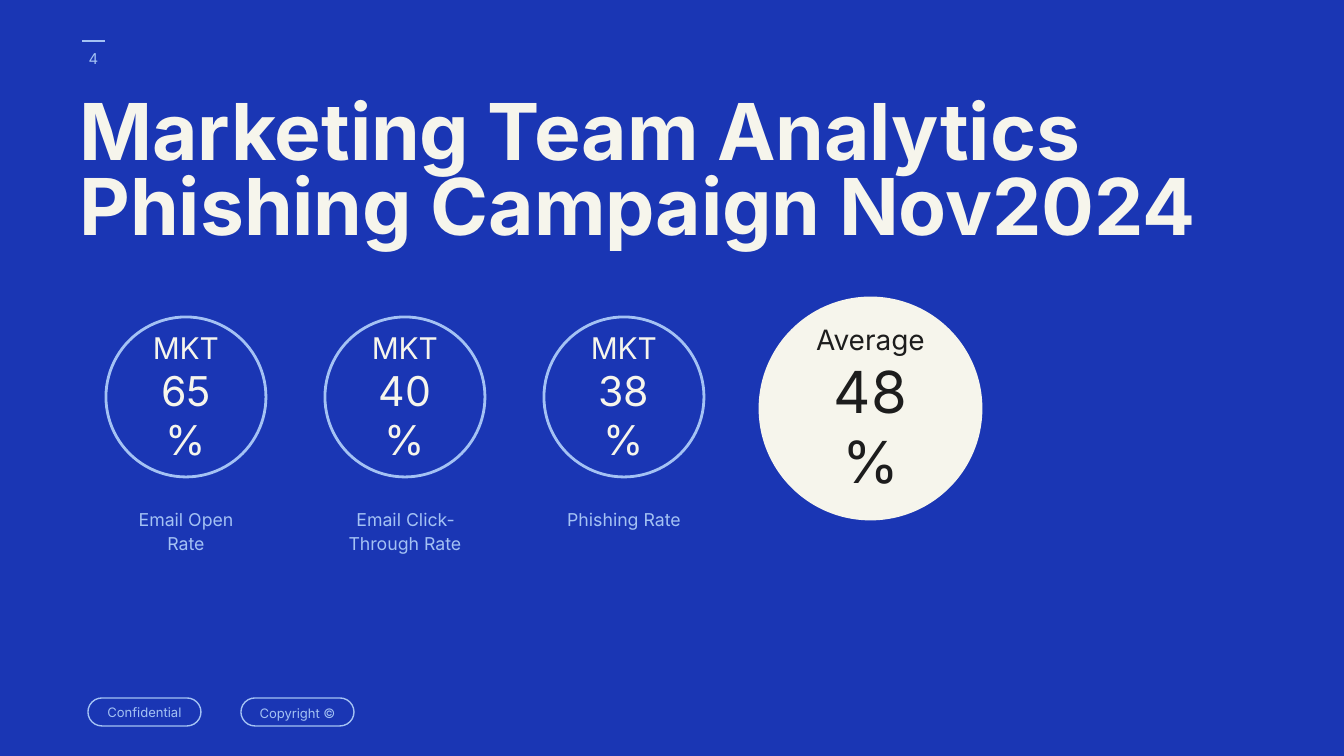
"""Build the marketing team phishing campaign analytics slide."""
from lxml import etree
from pptx import Presentation, util as u
from pptx.dml.color import RGBColor
from pptx.enum import shapes, text
from pptx.oxml.ns import qn

PX = 9144000 / 1344
COLORS = {"blue": "1A36B4", "sky": "A4C2F4", "cream": "F6F5EC", "ink": "1D1D1D"}


def rgb(name):
    return RGBColor.from_string(COLORS[name])


def write(box, lines, sizes, color, anchor=text.MSO_ANCHOR.MIDDLE,
          align=text.PP_ALIGN.CENTER, spacing=1.0, bold=False):
    frame = box.text_frame
    frame.word_wrap = True
    frame.auto_size = text.MSO_AUTO_SIZE.NONE
    frame.vertical_anchor = anchor
    frame.margin_left = frame.margin_right = u.Inches(0.1)
    frame.margin_top = frame.margin_bottom = u.Inches(0.1)
    frame.text = "\n".join(lines)
    for para, size in zip(frame.paragraphs, sizes):
        para.alignment = align
        para.line_spacing = spacing
        for span in para.runs:
            span.font.name = "Inter"
            span.font.size = u.Pt(size)
            span.font.bold = bold
            span.font.color.rgb = rgb(color)


deck = Presentation()
deck.slide_width, deck.slide_height = round(1344 * PX), round(756 * PX)
page = deck.slides.add_slide(deck.slide_layouts[5])
page.background.fill.solid()
page.background.fill.fore_color.rgb = rgb("blue")

title = page.shapes.title
title.left, title.top, title.width, title.height = [round(n * PX) for n in (66, 87, 1153, 211)]
write(title, ["Marketing Team Analytics Phishing Campaign Nov2024"], [42], "cream",
      text.MSO_ANCHOR.TOP, text.PP_ALIGN.LEFT, 0.8, True)

rule = page.shapes.add_connector(
    shapes.MSO_CONNECTOR.STRAIGHT, *[round(n * PX) for n in (105, 41, 82, 41)])
rule.line.color.rgb = rgb("sky")
rule.line.width = u.Pt(0.75)
etree.SubElement(rule._element.spPr, qn("a:effectLst"))

number = page.shapes.add_textbox(*[round(n * PX) for n in (62, 30, 63, 58)])
write(number, ["4"], [8], "sky")

for left, label, spacing in [(88, "Confidential", 1.0), (241, "Copyright ©", 1.15)]:
    pill = page.shapes.add_shape(
        shapes.MSO_SHAPE.ROUNDED_RECTANGLE, *[round(n * PX) for n in (left, 698, 113, 28)])
    pill.adjustments[0] = 0.5
    pill.shadow.inherit = False
    pill.fill.background()
    pill.line.color.rgb = rgb("sky")
    pill.line.width = u.Pt(0.75)
    write(pill, [label], [7], "sky", spacing=spacing)

circles = [(106 + 219 * i, 317, 160, ["MKT", rate], [16, 22], "cream", "sky")
           for i, rate in enumerate(["65%", "40%", "38%"])]
circles.append((760, 298, 221, ["Average", "48", "%"], [15, 31, 31], "ink", "cream"))
for left, top, size, lines, sizes, color, outline in circles:
    circle = page.shapes.add_shape(
        shapes.MSO_SHAPE.FLOWCHART_CONNECTOR, *[round(n * PX) for n in (left, top, size, size)])
    circle.shadow.inherit = False
    if outline == "cream":
        circle.fill.solid()
        circle.fill.fore_color.rgb = rgb("cream")
    else:
        circle.fill.background()
    circle.line.color.rgb = rgb(outline)
    circle.line.width = u.Pt(1.5)
    write(circle, lines, sizes, color)

captions = [("Email Open Rate", 130, 74), ("Email Click-Through Rate", 160, 98),
            ("Phishing Rate", 160, 48)]
for i, (label, width, height) in enumerate(captions):
    left = 186 + 219 * i - width / 2
    caption = page.shapes.add_textbox(*[round(n * PX) for n in (left, 492, width, height)])
    write(caption, [label], [9.5], "sky", text.MSO_ANCHOR.TOP, spacing=1.15)

deck.save("out.pptx")
